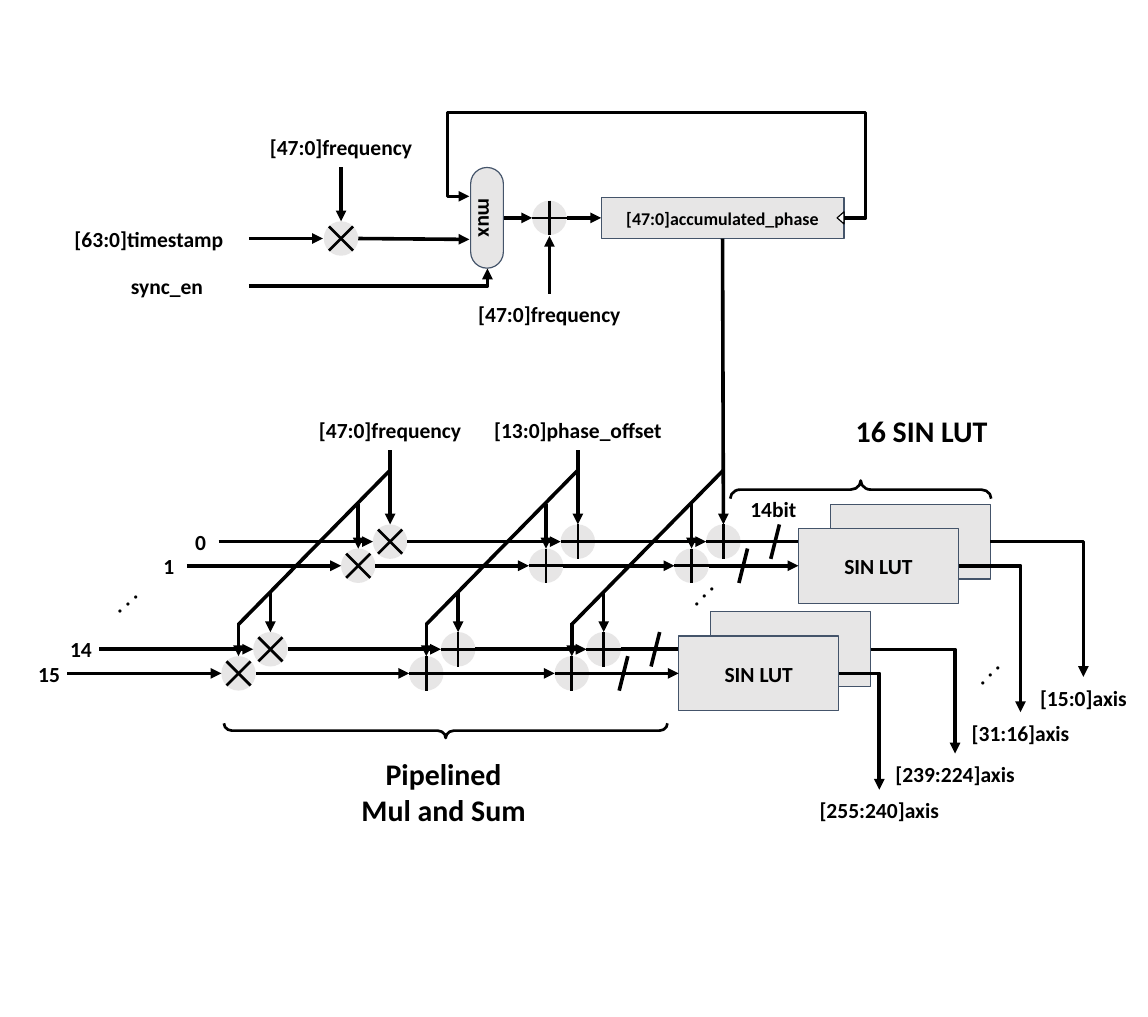
from dataclasses import dataclass

import lxml.etree
import pptx
import pptx.dml.color
import pptx.enum.shapes
import pptx.enum.text
import pptx.oxml.ns
import pptx.util

Inches = pptx.util.Inches
Pt = pptx.util.Pt
qn = pptx.oxml.ns.qn
Preset = pptx.enum.shapes.MSO_SHAPE
Connector = pptx.enum.shapes.MSO_CONNECTOR


def rgb(value):
    """Return a colour object for a hex string."""
    return pptx.dml.color.RGBColor.from_string(value)


@dataclass(frozen=True)
class Theme:
    """Colours, font and sizes of the diagram."""
    ink: str = "000000"
    panel: str = "E7E6E6"
    border: str = "44546A"
    paper: str = "FFFFFF"
    font: str = "Calibri"
    label: float = 18
    register: float = 15
    heading: float = 25
    wire: float = 3
    symbol: float = 2.25
    outline: float = 1


class Diagram:
    """Draws block-diagram elements on one slide."""

    def __init__(self, slide, theme):
        """Keep the slide and its theme."""
        self.slide = slide
        self.theme = theme

    def set_text(self, shape, text, size):
        """Fill a shape with centred bold lines."""
        frame = shape.text_frame
        frame.word_wrap = True
        frame.margin_left = frame.margin_right = frame.margin_top = frame.margin_bottom = 0
        frame.vertical_anchor = pptx.enum.text.MSO_ANCHOR.MIDDLE
        for index, line in enumerate(text.split("\n")):
            paragraph = frame.add_paragraph() if index else frame.paragraphs[0]
            paragraph.alignment = pptx.enum.text.PP_ALIGN.CENTER
            run = paragraph.add_run()
            run.text = line
            run.font.name = self.theme.font
            run.font.size = Pt(size)
            run.font.bold = True
            run.font.color.rgb = rgb(self.theme.ink)

    def label(self, text, x, y, width=2.13, height=0.48, size=None, rotation=0):
        """Place a text box centred on a point."""
        box = self.slide.shapes.add_textbox(
            Inches(x - width / 2), Inches(y - height / 2), Inches(width), Inches(height))
        box.rotation = rotation
        self.set_text(box, text, size or self.theme.label)

    def shape(self, preset, left, top, width, height, fill, line, weight, shapes=None):
        """Add a preset shape; no fill or line colour means none is drawn."""
        shape = (shapes or self.slide.shapes).add_shape(
            preset, Inches(left), Inches(top), Inches(width), Inches(height))
        shape.shadow.inherit = False
        if fill:
            shape.fill.solid()
            shape.fill.fore_color.rgb = rgb(fill)
        else:
            shape.fill.background()
        if line:
            shape.line.color.rgb = rgb(line)
            shape.line.width = Pt(weight)
        else:
            shape.line.fill.background()
        return shape

    def block(self, left, top, width, height, text="", size=None, preset=Preset.RECTANGLE):
        """Add a bordered block with optional text."""
        block = self.shape(preset, left, top, width, height,
                           self.theme.panel, self.theme.border, self.theme.outline)
        if text:
            self.set_text(block, text, size or self.theme.label)
        return block

    def brace(self, left, top, width, height, rotation):
        """Add a rotated curly brace."""
        brace = self.shape(Preset.RIGHT_BRACE, left, top, width, height,
                           None, self.theme.ink, self.theme.symbol)
        brace.rotation = rotation
        brace.adjustments[0] = 0.55

    def wire(self, start, end, arrow=True, weight=None, shapes=None, kind=Connector.STRAIGHT):
        """Add a connector between two points."""
        wire = (shapes or self.slide.shapes).add_connector(kind, *map(Inches, (*start, *end)))
        wire.line.color.rgb = rgb(self.theme.ink)
        wire.line.width = Pt(weight or self.theme.wire)
        properties = wire.element.spPr
        if arrow:
            lxml.etree.SubElement(properties.find(qn("a:ln")), qn("a:tailEnd"), type="triangle")
        lxml.etree.SubElement(properties, qn("a:effectLst"))
        return wire

    def elbow(self, start, end, preset="bentConnector2", adjustments=()):
        """Add a bent arrow of the given preset."""
        elbow = self.wire(start, end, kind=Connector.ELBOW)
        geometry = elbow.element.spPr.find(qn("a:prstGeom"))
        geometry.set("prst", preset)
        guides = geometry.find(qn("a:avLst"))
        for index, value in enumerate(adjustments, 1):
            lxml.etree.SubElement(guides, qn("a:gd"), name=f"adj{index}", fmla=f"val {value}")

    def operator(self, x, y, symbol):
        """Add a grouped circle holding a plus or a times sign."""
        shapes = self.slide.shapes.add_group_shape().shapes
        self.shape(Preset.OVAL, x - RADIUS, y - RADIUS, 2 * RADIUS, 2 * RADIUS,
                   self.theme.panel, None, 0, shapes)
        reach = 0.14
        strokes = {"+": ((RADIUS, 0), (0, RADIUS)), "×": ((reach, reach), (-reach, reach))}
        for dx, dy in strokes[symbol]:
            self.wire((x - dx, y - dy), (x + dx, y + dy), False, self.theme.symbol, shapes)


RADIUS = 0.2
LUT_WIDTH, LUT_HEIGHT = 1.86, 0.87
STAGES = [(4.53, "×"), (6.71, "+"), (8.4, "+")]
LANES = [
    ("0", 0, 6.29, 5.23, "", "[15:0]axis", (12.58, 7.86)),
    ("1", 0.37, 6.57, 5.85, "SIN LUT", "[31:16]axis", (11.85, 8.27)),
    ("14", 1.39, 7.54, 6.88, "", "[239:224]axis", (11.09, 8.75)),
    ("15", 1.76, 7.82, 7.24, "SIN LUT", "[255:240]axis", (10.21, 9.17)),
]


def draw_accumulator(diagram):
    """Draw the phase accumulator and return its register."""
    register = diagram.block(6.98, 2.29, 2.82, 0.48, "[47:0]accumulated_phase",
                             diagram.theme.register)
    clock = diagram.shape(Preset.ISOSCELES_TRIANGLE, 9.69, 2.49, 0.14, 0.08,
                          diagram.theme.paper, diagram.theme.ink, diagram.theme.outline)
    clock.rotation = 270
    mux = diagram.block(5.07, 2.34, 1.17, 0.38, "mux", preset=Preset.FLOWCHART_TERMINATOR)
    mux.rotation = 90
    diagram.operator(3.96, 2.77, "×")
    diagram.operator(6.38, 2.53, "+")
    diagram.elbow((9.8, 2.53), (5.45, 2.28), "bentConnector5", (-5800, 489800, 105800))
    diagram.elbow((2.89, 3.32), (5.66, 3.12))
    for start, end in [((3.96, 1.94), (3.96, 2.57)), ((2.89, 2.77), (3.75, 2.77)),
                       ((4.16, 2.77), (5.45, 2.78)), ((5.85, 2.53), (6.18, 2.53)),
                       ((6.38, 3.41), (6.38, 2.74))]:
        diagram.wire(start, end)
    diagram.wire((6.58, 2.53), (6.98, 2.53)).end_connect(register, 1)
    for text, x, y in [("[47:0]frequency", 3.96, 1.7), ("[63:0]timestamp", 1.73, 2.77),
                       ("sync_en", 1.94, 3.32), ("[47:0]frequency", 6.38, 3.65)]:
        diagram.label(text, x, y)
    return register


def draw_lane(diagram, lane):
    """Draw one pipeline lane from its index to its output."""
    name, shift, y, drop, lut_text, output, end = lane
    diagram.label(name, 2.33 - shift, y, 0.6)
    tail = 2.54 - shift
    for column, symbol in STAGES:
        x = column - shift
        diagram.operator(x, y, symbol)
        diagram.wire((tail, y), (x - RADIUS, y))
        feed = diagram.wire((x, drop), (x, y - RADIUS))
        tail = x + RADIUS
    left = 9.64 - shift
    lut = diagram.block(left, y - LUT_HEIGHT / 2, LUT_WIDTH, LUT_HEIGHT, lut_text)
    diagram.wire((tail, y), (left, y)).end_connect(lut, 1)
    slash = 9 - shift
    diagram.wire((slash + 0.05, y - 0.2), (slash - 0.05, y + 0.2), False)
    diagram.elbow((left + LUT_WIDTH, y), end)
    diagram.label(output, end[0], end[1] + 0.24, 2.08)
    return feed


def main():
    """Build and save the slide."""
    presentation = pptx.Presentation()
    presentation.slide_width, presentation.slide_height = Inches(13.33), Inches(11.81)
    slide = presentation.slides.add_slide(presentation.slide_layouts[6])
    theme = Theme()
    diagram = Diagram(slide, theme)
    register = draw_accumulator(diagram)
    phase_feeds = [draw_lane(diagram, lane) for lane in LANES]
    phase_feeds[0].begin_connect(register, 2)
    for column, _ in STAGES:
        diagram.wire((column, 5.46), (column - 1.76, 7.25), False)
    for x, y, rotation in [(1.43, 6.96, 318), (8.12, 6.87, 315), (11.44, 7.79, 315)]:
        diagram.label(". . .", x, y, 0.55, rotation=rotation)
    diagram.label("[47:0]frequency", 4.53, 4.99)
    diagram.label("[13:0]phase_offset", 6.71, 4.99, 2.52)
    diagram.label("14bit", 8.98, 5.91, 0.82)
    diagram.brace(9.89, 4.17, 0.21, 3.03, 270)
    diagram.label("16 SIN LUT", 10.7, 5, size=theme.heading)
    diagram.brace(5.09, 5.91, 0.17, 5.15, 90)
    diagram.label("Pipelined\nMul and Sum", 5.15, 9.19, 2.65, 0.89, theme.heading)
    presentation.save("out.pptx")


if __name__ == "__main__":
    main()
